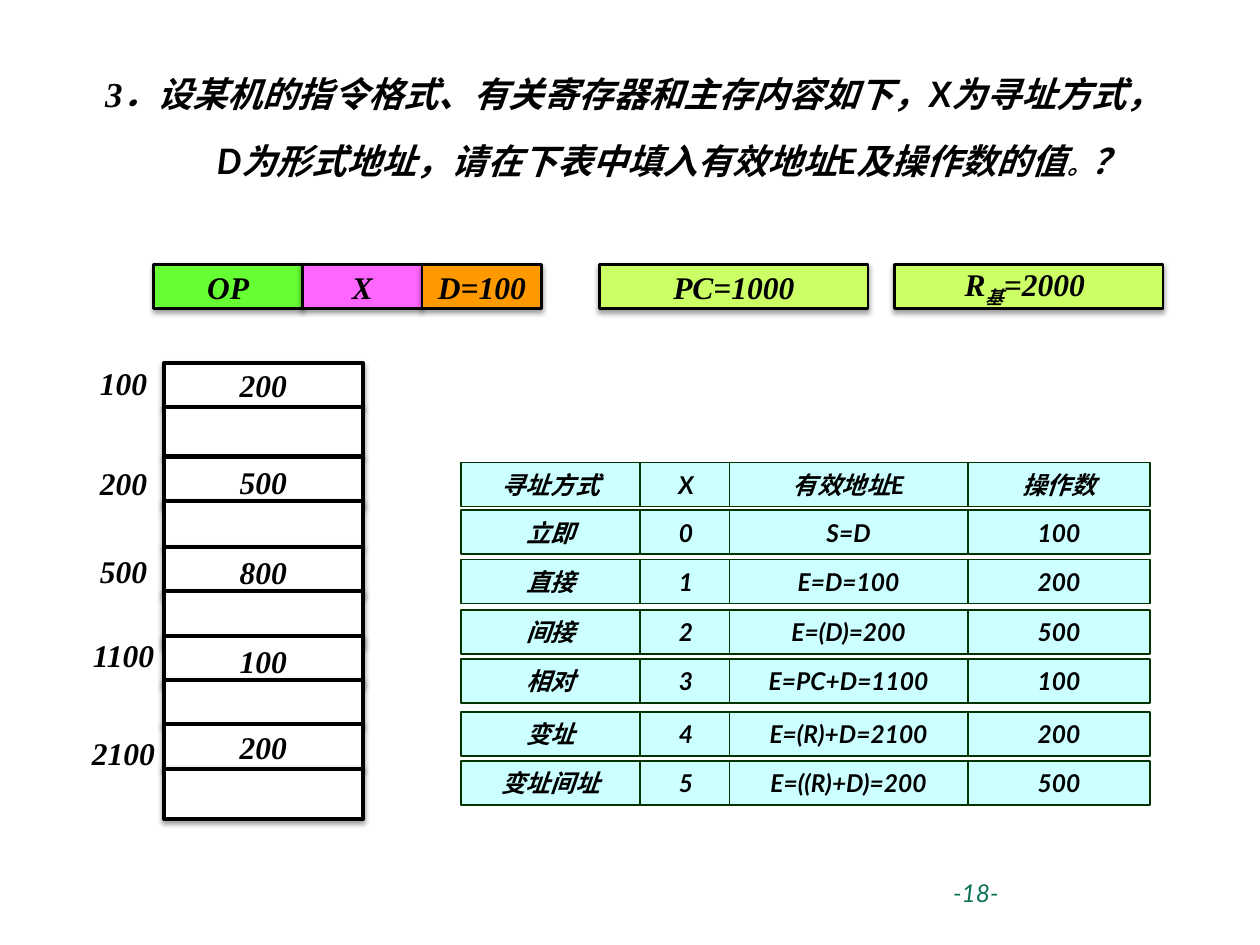
from lxml import etree
from pptx import Presentation
from pptx.dml.color import RGBColor
from pptx.enum.lang import MSO_LANGUAGE_ID as Language
from pptx.enum.shapes import MSO_SHAPE as Shape
from pptx.enum.text import MSO_ANCHOR as Anchor, MSO_AUTO_SIZE as AutoSize, PP_ALIGN as Align
from pptx.oxml import parse_xml
from pptx.util import Inches, Pt

SHADOW = """<a:effectLst xmlns:a="http://schemas.openxmlformats.org/drawingml/2006/main">
<a:outerShdw blurRad="39400" dist="20300" dir="5400000" rotWithShape="0">
<a:srgbClr val="000000"><a:alpha val="38000"/></a:srgbClr></a:outerShdw></a:effectLst>"""
SERIF = {"name": "Times New Roman", "size": Pt(18), "bold": True, "italic": True}
SANS = {**SERIF, "name": "Lato", "size": Pt(14)}


def write(shape, runs, alignment=Align.CENTER, color="000000", **frame_format):
    """Fill the shape with one paragraph of (text, font format) runs."""
    frame = shape.text_frame
    for name, value in frame_format.items():
        setattr(frame, name, value)
    paragraph = frame.paragraphs[0]
    paragraph.alignment = alignment
    for text, font_format in runs:
        run = paragraph.add_run()
        run.text = text
        run.font.color.rgb = RGBColor.from_string(color)
        run.font.language_id = Language.SIMPLIFIED_CHINESE
        for name, value in font_format.items():
            setattr(run.font, name, value)
    return paragraph


def add_box(left, top, width, height, fill, line, line_width, shadow=False):
    box = slide.shapes.add_shape(
        Shape.RECTANGLE, Inches(left), Inches(top), Inches(width), Inches(height))
    box.fill.solid()
    box.fill.fore_color.rgb = RGBColor.from_string(fill)
    box.line.color.rgb = RGBColor.from_string(line)
    box.line.width = Pt(line_width)
    box.shadow.inherit = False
    if shadow:
        properties = box.fill._xPr
        properties.replace(properties.effectLst, parse_xml(SHADOW))
    return box


presentation = Presentation()
presentation.slide_width, presentation.slide_height = Inches(10), Inches(7.5)
slide = presentation.slides.add_slide(presentation.slide_layouts[6])

# Main memory: cells from top to bottom
memory_cells = [
    (2.88, 0.35, "200"), (3.23, 0.39, ""), (3.63, 0.39, "500"), (3.98, 0.36, ""),
    (4.34, 0.39, "800"), (4.69, 0.44, ""), (5.05, 0.39, "100"), (5.4, 0.36, ""),
    (5.75, 0.36, "200"), (6.1, 0.4, ""),
]
for top, height, content in memory_cells:
    cell = add_box(1.3, top, 1.58, height, "FFFFFF", "000000", 2.25, shadow=True)
    if content:
        write(cell, [(content, SERIF)], vertical_anchor=Anchor.MIDDLE, word_wrap=False)

# Memory addresses, centred on one axis
addresses = [("100", 2.84), ("200", 3.63), ("500", 4.33), ("1100", 5), ("2100", 5.78)]
for address, top in addresses:
    label = slide.shapes.add_textbox(Inches(0.51), Inches(top), Inches(0.94), Inches(0.4))
    write(label, [(address, SERIF)], word_wrap=True, auto_size=AutoSize.SHAPE_TO_FIT_TEXT)

# Instruction format and registers
fields = [
    (1.22, 1.18, "66FF33", [("OP", SERIF)]),
    (2.4, 0.95, "FF66FF", [("X", SERIF)]),
    (3.35, 0.95, "FF9900", [("D=100", SERIF)]),
    (4.76, 2.13, "CCFF66", [("PC=1000", SERIF)]),
    (7.1, 2.13, "CCFF66", [("R", SERIF), ("基", SERIF), ("=2000 ", SERIF)]),
]
for left, width, fill, runs in fields:
    field = add_box(left, 2.1, width, 0.35, fill, "000000", 1.5, shadow=True)
    paragraph = write(field, runs, vertical_anchor=Anchor.MIDDLE, word_wrap=False)
subscript = paragraph.runs[1]
subscript.font._element.set("baseline", "-25000")

# Addressing modes: separate boxes, the address column lies on top
row_tops = [3.67, 4.05, 4.44, 4.84, 5.23, 5.65, 6.04]
columns = [
    (3.66, 1.42, ["寻址方式", "立即", "直接", "间接", "相对", "变址", "变址间址"]),
    (5.08, 0.73, ["X", "0", "1", "2", "3", "4", "5"]),
    (7.68, 1.45, ["操作数", "100", "200", "500", "100", "200", "500"]),
    (5.79, 1.89, ["有效地址E", "S=D", "E=D=100", "E=(D)=200", "E=PC+D=1100",
                  "E=(R)+D=2100", "E=((R)+D)=200"]),
]
for left, width, entries in columns:
    for top, entry in zip(row_tops, entries):
        box = add_box(left, top, width, 0.35, "CCFFFF", "003300", 1)
        write(box, [(entry, SANS)], vertical_anchor=Anchor.MIDDLE, word_wrap=True,
              auto_size=AutoSize.SHAPE_TO_FIT_TEXT)

# Question
question = slide.shapes.add_textbox(Inches(0.35), Inches(0.28), Inches(8.69), Inches(1.26))
question_runs = [
    ("3．", {**SERIF, "size": Pt(20)}),
    ("设某机的指令格式、有关寄存器和主存内容如下，X为寻址方式，D为形式地址，"
     "请在下表中填入有效地址E及操作数的值", {**SANS, "size": Pt(20)}),
    ("。", SANS),
    ("？", {**SERIF, "size": Pt(20)}),
]
paragraph = write(question, question_runs, Align.RIGHT, vertical_anchor=Anchor.MIDDLE,
                  word_wrap=True, auto_size=AutoSize.SHAPE_TO_FIT_TEXT,
                  margin_top=Inches(0.09), margin_bottom=Inches(0.09))
paragraph.line_spacing = 1.6
paragraph._p.get_or_add_pPr().set("indent", str(Inches(0.3)))

# Page number
page_number = slide.shapes.add_textbox(Inches(7.42), Inches(6.92), Inches(2.08), Inches(0.5))
write(page_number, [(" -18-", {**SANS, "bold": False})], Align.LEFT, "0D7157", word_wrap=True)

presentation.save("out.pptx")
